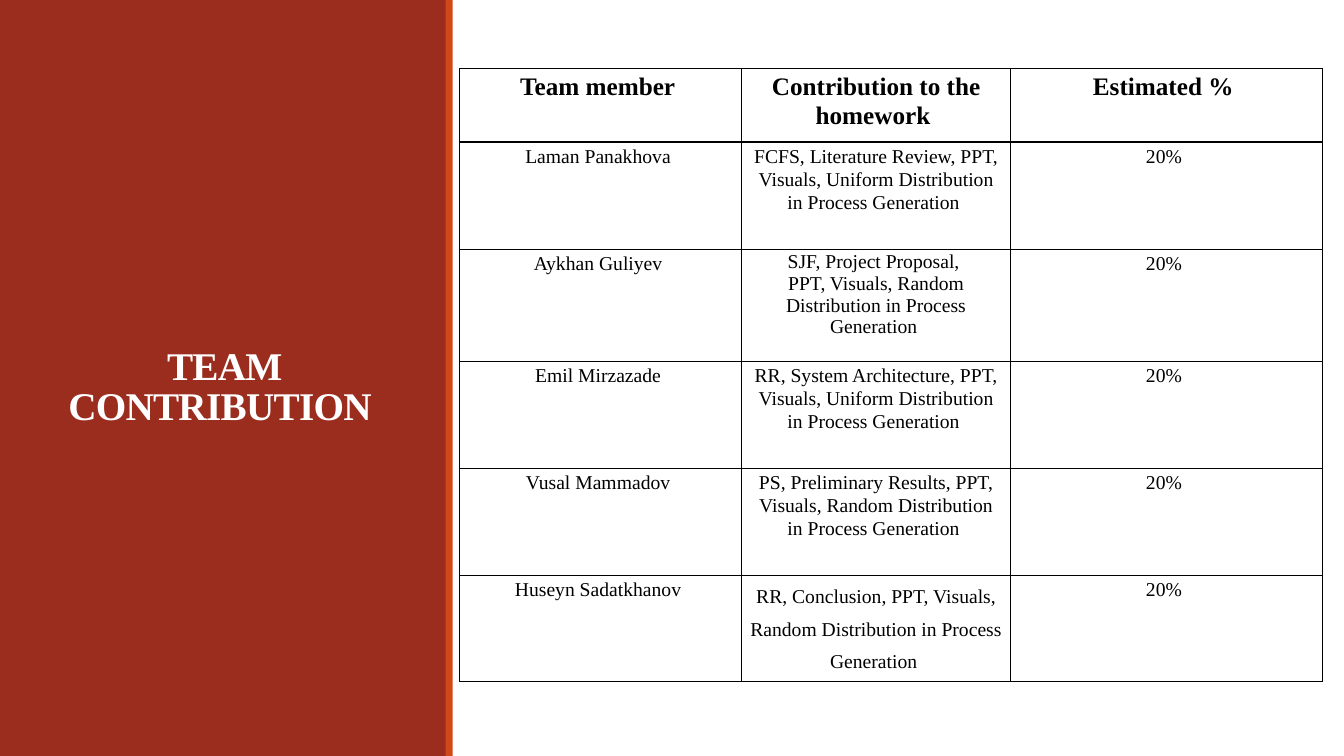
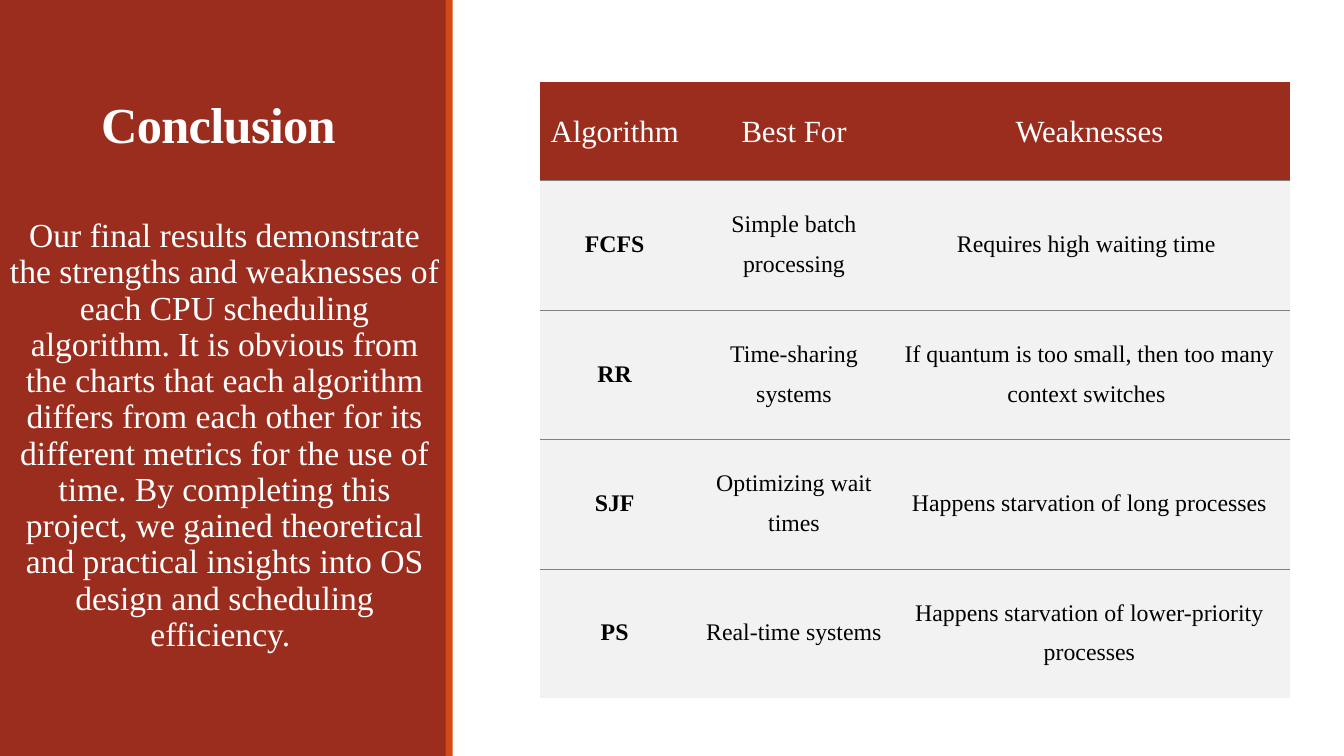
from dataclasses import dataclass

from lxml.etree import SubElement
from pptx import Presentation
from pptx.dml.color import RGBColor as Rgb
from pptx.enum.shapes import MSO_SHAPE as Preset
from pptx.enum.text import MSO_ANCHOR as Anchor, PP_ALIGN as Align
from pptx.oxml.ns import qn
from pptx.util import Cm, Pt


@dataclass(frozen=True)
class Theme:
    font: str = "Times New Roman"
    brick: str = "9B2D1F"
    orange: str = "D34817"
    white: str = "FFFFFF"
    black: str = "000000"
    pale: str = "F2F2F2"
    rule: str = "808080"
    team_title: int = 28
    conclusion_title: int = 36
    summary: int = 24
    team_header: int = 18
    team_body: int = 14
    algorithm_header: int = 22
    algorithm_body: int = 17


@dataclass(frozen=True)
class CellStyle:
    size: int
    color: str
    bold: bool = False
    spacing: float = 1.07
    insets: tuple = (0.3, 0.05, 0.3, 0)
    anchor: Anchor = Anchor.TOP
    fill: str = ""


THEME = Theme()

TEAM_HEADER = CellStyle(THEME.team_header, THEME.black, bold=True)
TEAM_BODY = CellStyle(THEME.team_body, THEME.black)
TEAM_TIGHT = CellStyle(THEME.team_body, THEME.black, spacing=1.0)
TEAM_LOOSE = CellStyle(THEME.team_body, THEME.black, spacing=1.5, insets=(0.18, 0, 0.18, 0))

ALGORITHM_LAYOUT = dict(spacing=1.5, insets=(0, 0.36, 0.25, 0.74), anchor=Anchor.MIDDLE)
ALGORITHM_HEADER = CellStyle(THEME.algorithm_header, THEME.white, fill=THEME.brick, **ALGORITHM_LAYOUT)
ALGORITHM_NAME = CellStyle(THEME.algorithm_body, THEME.black, bold=True, fill=THEME.pale, **ALGORITHM_LAYOUT)
ALGORITHM_BODY = CellStyle(THEME.algorithm_body, THEME.black, fill=THEME.pale, **ALGORITHM_LAYOUT)

TEAM_COLUMNS = ("Team member ", "Contribution to the homework ", "Estimated % ")
TEAM = (
    ("Laman Panakhova ",
     "FCFS, Literature Review, PPT, Visuals, Uniform Distribution in Process Generation ", TEAM_BODY),
    ("Aykhan Guliyev ",
     "SJF, Project Proposal, \nPPT, Visuals, Random Distribution in Process Generation ", TEAM_TIGHT),
    ("Emil Mirzazade ",
     "RR, System Architecture, PPT, Visuals, Uniform Distribution in Process Generation ", TEAM_BODY),
    ("Vusal Mammadov ",
     "PS, Preliminary Results, PPT, Visuals, Random Distribution in Process Generation ", TEAM_BODY),
    ("Huseyn Sadatkhanov ",
     "RR, Conclusion, PPT, Visuals, Random Distribution in Process Generation ", TEAM_LOOSE),
)
TEAM_SHARE = "20% "

ALGORITHM_COLUMNS = ("Algorithm", "Best For", "Weaknesses")
ALGORITHMS = (
    ("FCFS", "Simple batch processing", "Requires high waiting time "),
    ("RR", "Time-sharing systems", "If quantum is too small, then too many context switches "),
    ("SJF", "Optimizing wait times", "Happens starvation of long processes"),
    ("PS", "Real-time systems", "Happens starvation of lower-priority processes"),
)

SUMMARY = (
    "Our final results demonstrate the strengths and weaknesses of each CPU scheduling algorithm. "
    "It is obvious from the charts that each algorithm differs from each other for its different "
    "metrics for the use of time. By completing this project, we gained theoretical and practical "
    "insights into OS design and scheduling efficiency. "
)


def add_run(paragraph, text, size, color, bold=False):
    run = paragraph.add_run()
    run.text = text
    run.font.name = THEME.font
    run.font.size = Pt(size)
    run.font.bold = bold
    run.font.color.rgb = Rgb.from_string(color)
    return run


def add_band(slide, left, width, color):
    band = slide.shapes.add_shape(Preset.RECTANGLE, Cm(left), 0, Cm(width), Cm(19.05))
    band.shadow.inherit = False
    band.fill.solid()
    band.fill.fore_color.rgb = Rgb.from_string(color)
    band.line.fill.background()


def add_text_area(slide, left, top, width, height, spacing):
    area = slide.shapes.add_textbox(Cm(left), Cm(top), Cm(width), Cm(height)).text_frame
    area.word_wrap = True
    paragraph = area.paragraphs[0]
    paragraph.alignment = Align.CENTER
    paragraph.line_spacing = spacing
    return area, paragraph


def add_title(slide, text, top, height, size):
    area, paragraph = add_text_area(slide, 1.39, top, 8.53, height, 0.85)
    area.vertical_anchor = Anchor.BOTTOM
    run = add_run(paragraph, text, size, THEME.white, bold=True)
    run.font._element.set("spc", "-50")


def add_summary(slide):
    area, paragraph = add_text_area(slide, 0, 5.38, 11.07, 9.27, 0.9)
    area.margin_left = Cm(0.25)
    area.margin_right = 0
    add_run(paragraph, SUMMARY, THEME.summary, THEME.white)


def add_side_panel_slide(deck):
    slide = deck.slides.add_slide(deck.slide_layouts[6])
    add_band(slide, 0, 11.25, THEME.brick)
    add_band(slide, 11.23, 0.18, THEME.orange)
    return slide


def set_borders(cell, sides, color, width):
    properties = cell._tc.get_or_add_tcPr()
    for side in "LRTB":
        border = SubElement(properties, qn(f"a:ln{side}"), w=str(Pt(width)))
        if side in sides:
            fill = SubElement(border, qn("a:solidFill"))
            SubElement(fill, qn("a:srgbClr"), val=color)
        else:
            SubElement(border, qn("a:noFill"))


def fill_cell(cell, text, style):
    cell.margin_left, cell.margin_top, cell.margin_right, cell.margin_bottom = map(Cm, style.insets)
    cell.vertical_anchor = style.anchor
    if style.fill:
        cell.fill.solid()
        cell.fill.fore_color.rgb = Rgb.from_string(style.fill)
    else:
        cell.fill.background()
    frame = cell.text_frame
    for index, line in enumerate(text.split("\n")):
        paragraph = frame.add_paragraph() if index else frame.paragraphs[0]
        paragraph.alignment = Align.CENTER
        paragraph.line_spacing = style.spacing
        add_run(paragraph, line, style.size, style.color, style.bold)


def add_grid(slide, left, top, widths, heights, rows, border_sides, color, line_width):
    grid = slide.shapes.add_table(
        len(heights), len(widths), Cm(left), Cm(top), Cm(sum(widths)), Cm(sum(heights))
    ).table
    grid.first_row = grid.horz_banding = False
    for column, width in zip(grid.columns, widths):
        column.width = Cm(width)
    for r, (height, entries) in enumerate(zip(heights, rows)):
        grid.rows[r].height = Cm(height)
        for c, (text, style) in enumerate(entries):
            cell = grid.cell(r, c)
            set_borders(cell, border_sides(r), color, line_width)
            fill_cell(cell, text, style)


def add_team_table(slide):
    rows = [[(heading, TEAM_HEADER) for heading in TEAM_COLUMNS]]
    rows += [
        [(name, TEAM_BODY), (tasks, style), (TEAM_SHARE, TEAM_BODY)]
        for name, tasks, style in TEAM
    ]
    add_grid(slide, 11.58, 1.73, (7.11, 6.78, 7.85), (1.85, 2.7, 2.82, 2.7, 2.7, 2.62),
             rows, lambda row: "LRTB", THEME.black, 1)


def add_algorithm_table(slide):
    rows = [[(heading, ALGORITHM_HEADER) for heading in ALGORITHM_COLUMNS]]
    rows += [
        [(name, ALGORITHM_NAME), (best_for, ALGORITHM_BODY), (weakness, ALGORITHM_BODY)]
        for name, best_for, weakness in ALGORITHMS
    ]

    def inner_rules(row):
        return ("T" if row else "") + ("B" if row < len(ALGORITHMS) else "")

    add_grid(slide, 13.61, 2.06, (4.01, 5.03, 9.86), (2.48,) + (3.25,) * len(ALGORITHMS),
             rows, inner_rules, THEME.rule, 0.75)


def main():
    deck = Presentation()
    deck.slide_width = Cm(33.87)
    deck.slide_height = Cm(19.05)

    contribution = add_side_panel_slide(deck)
    add_title(contribution, "TEAM CONTRIBUTION ", 8.13, 2.79, THEME.team_title)
    add_team_table(contribution)

    conclusion = add_side_panel_slide(deck)
    add_title(conclusion, "Conclusion ", 0.84, 3.15, THEME.conclusion_title)
    add_summary(conclusion)
    add_algorithm_table(conclusion)

    deck.save("out.pptx")


if __name__ == "__main__":
    main()
